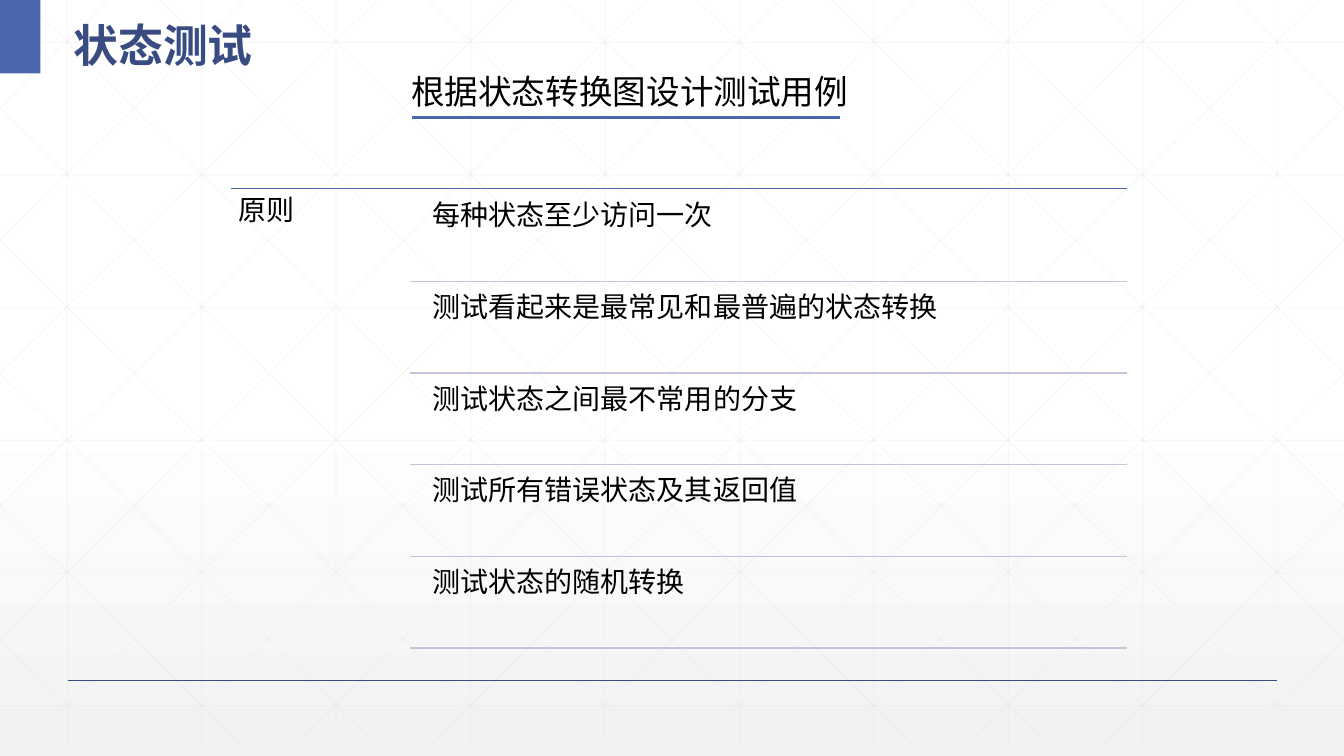
import dataclasses
import typing

import pptx
import pptx.dml.color
import pptx.enum.shapes
import pptx.enum.text
import pptx.oxml.ns
import pptx.util
from lxml import etree

Inches = pptx.util.Inches
Pt = pptx.util.Pt
RGB = pptx.dml.color.RGBColor
Anchor = pptx.enum.text.MSO_ANCHOR
qn = pptx.oxml.ns.qn

WHITE = RGB(0xFF, 0xFF, 0xFF)
PALE = RGB(0xF2, 0xF2, 0xF2)
GRID = RGB(0xD9, 0xD9, 0xD9)
NAVY = RGB(0x38, 0x4C, 0x81)
BLUE = RGB(0x4A, 0x66, 0xAC)
LILAC = RGB(0xC1, 0xC6, 0xDB)
BLACK = RGB(0, 0, 0)

CJK = "Noto Sans CJK SC"
WIDE, HIGH = 13.33, 7.5
FLOOR = 7.37  # lower end of the grid
STEP = 4 / 3  # gap between grid columns
RUN = 7.46  # sideways run of a full diagonal
RULES = [
    "每种状态至少访问一次",
    "测试看起来是最常见和最普遍的状态转换",
    "测试状态之间最不常用的分支",
    "测试所有错误状态及其返回值",
    "测试状态的随机转换",
]


@dataclasses.dataclass
class Line:
    x1: float
    y1: float
    x2: float
    y2: float
    color: RGB = GRID
    width: float = 0.5
    alpha: int = 100


@dataclasses.dataclass
class Label:
    text: str
    left: float
    top: float
    width: float
    height: float
    size: float = 20
    font: str = CJK
    color: RGB = BLACK
    bold: bool = False
    space: float = 0.9
    after: float = 7
    inset: tuple[float, float] = (0.08, 0.08)
    anchor: Anchor = Anchor.TOP


def draw_line(slide: typing.Any, line: Line) -> None:
    ends = [Inches(v) for v in (line.x1, line.y1, line.x2, line.y2)]
    shape = slide.shapes.add_connector(pptx.enum.shapes.MSO_CONNECTOR.STRAIGHT, *ends)
    shape.line.color.rgb = line.color
    shape.line.width = Pt(line.width)
    props = shape.element.spPr
    if line.alpha < 100:
        tint = next(props.iter(qn("a:srgbClr")))
        etree.SubElement(tint, qn("a:alpha")).set("val", str(line.alpha * 1000))
    etree.SubElement(props, qn("a:effectLst"))


def draw_label(slide: typing.Any, label: Label) -> None:
    place = (label.left, label.top, label.width, label.height)
    frame = slide.shapes.add_textbox(*[Inches(v) for v in place]).text_frame
    frame.word_wrap = True
    frame.vertical_anchor = label.anchor
    frame.margin_left = frame.margin_right = Inches(label.inset[0])
    frame.margin_top = frame.margin_bottom = Inches(label.inset[1])
    frame.text = label.text
    para = frame.paragraphs[0]
    para.line_spacing = label.space
    para.space_after = Pt(label.after)
    run = para.runs[0]
    run.font.size = Pt(label.size)
    run.font.bold = label.bold
    run.font.color.rgb = label.color
    run.font.name = label.font
    east = etree.SubElement(run.font._element, qn("a:ea"))
    east.set("typeface", CJK)


def grid_lines() -> list[Line]:
    lines = [Line(STEP * (i + 0.5), 0, STEP * (i + 0.5), FLOOR) for i in range(10)]
    lines += [Line(0, 0.42 + 1.316 * i, WIDE, 0.42 + 1.316 * i) for i in range(6)]
    # Diagonals are cut at the slide edges, then mirrored
    for i in range(-5, 10):
        start = 0.25 + STEP * i
        left, right = max(start, 0), min(start + RUN, WIDE)
        top, low = [(x - start) * FLOOR / RUN for x in (left, right)]
        lines.append(Line(left, top, right, low))
        lines.append(Line(WIDE - left, top, WIDE - right, low))
    return [dataclasses.replace(line, alpha=25) for line in lines]


def main() -> None:
    deck = pptx.Presentation()
    deck.slide_width, deck.slide_height = Inches(WIDE), Inches(HIGH)
    slide = deck.slides.add_slide(deck.slide_layouts[6])

    # Background fading to grey at the foot
    fill = slide.background.fill
    fill.gradient()
    fill.gradient_angle = 270
    for stop, (spot, color) in zip(fill.gradient_stops, [(0.53, WHITE), (1, PALE)]):
        stop.position = spot
        stop.color.rgb = color

    # Faint grid and foot rule
    for line in grid_lines():
        draw_line(slide, line)
    draw_line(slide, Line(0.67, 6.75, 12.67, 6.75, NAVY, 1))

    # Corner block and headings
    block = slide.shapes.add_shape(
        pptx.enum.shapes.MSO_SHAPE.RECTANGLE, 0, 0, Inches(0.4), Inches(0.73))
    block.shadow.inherit = False
    block.fill.solid()
    block.fill.fore_color.rgb = BLUE
    block.line.fill.background()
    head = Label("状态测试", 0.63, 0, 5.69, 0.73, 32, "Arial", NAVY, True,
                 1.3, 0, (0.1, 0.05), Anchor.MIDDLE)
    draw_label(slide, head)
    draw_label(slide, dataclasses.replace(
        head, text="根据状态转换图设计测试用例", left=3.98, top=0.56, width=4.67,
        height=0.57, size=24, font=CJK, color=BLACK, bold=False))
    draw_line(slide, Line(4.09, 1.17, 8.33, 1.17, BLUE, 2))

    # List of principles
    draw_line(slide, Line(2.29, 1.87, 11.18, 1.87, BLUE, 1))
    draw_label(slide, Label("原则", 2.29, 1.87, 1.78, 4.6))
    for i, text in enumerate(RULES):
        top = 1.92 + 0.91 * i
        draw_label(slide, Label(text, 4.21, top, 6.98, 0.87))
        draw_line(slide, Line(4.07, top + 0.87, 11.18, top + 0.87, LILAC, 1))

    deck.save("out.pptx")


if __name__ == "__main__":
    main()
